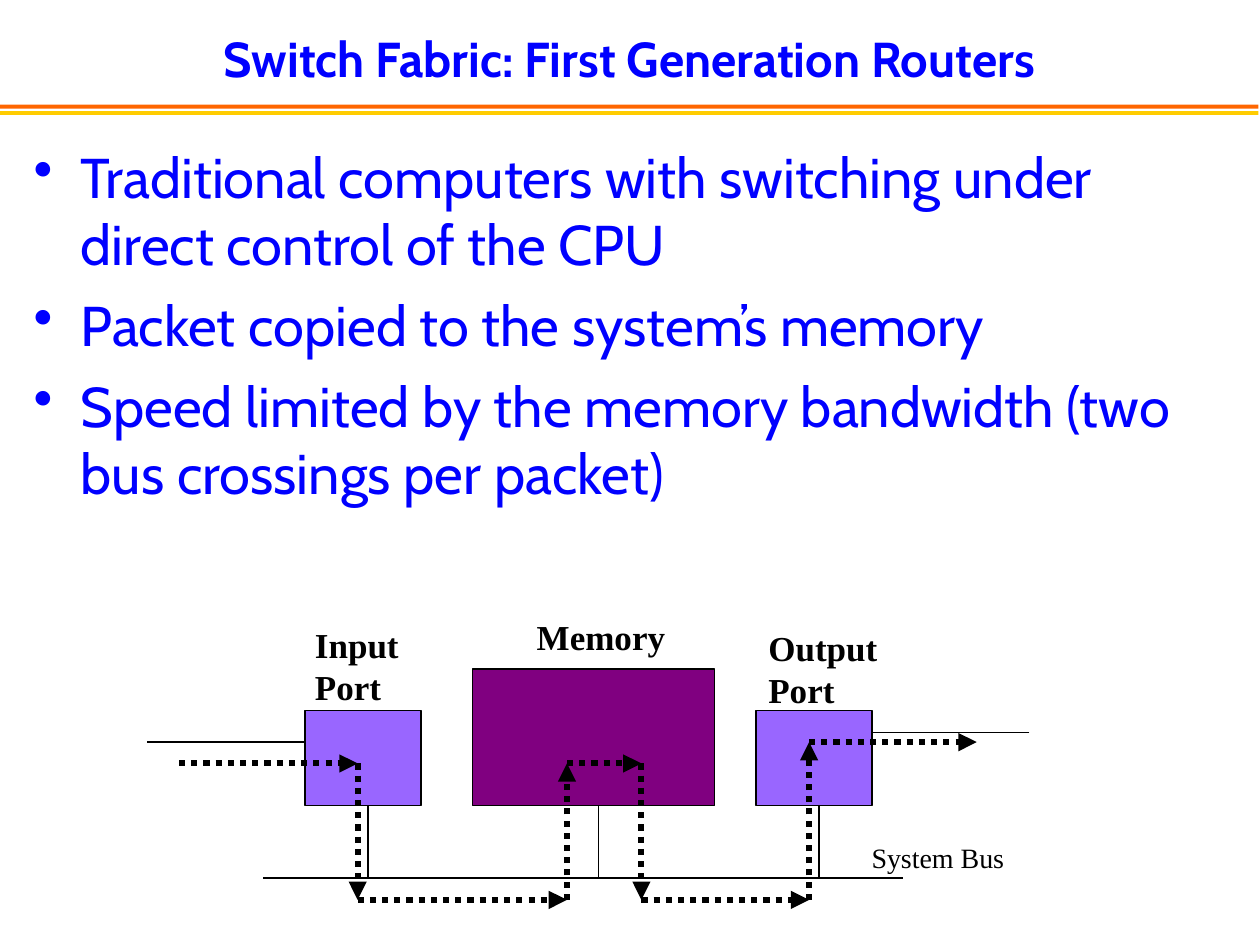
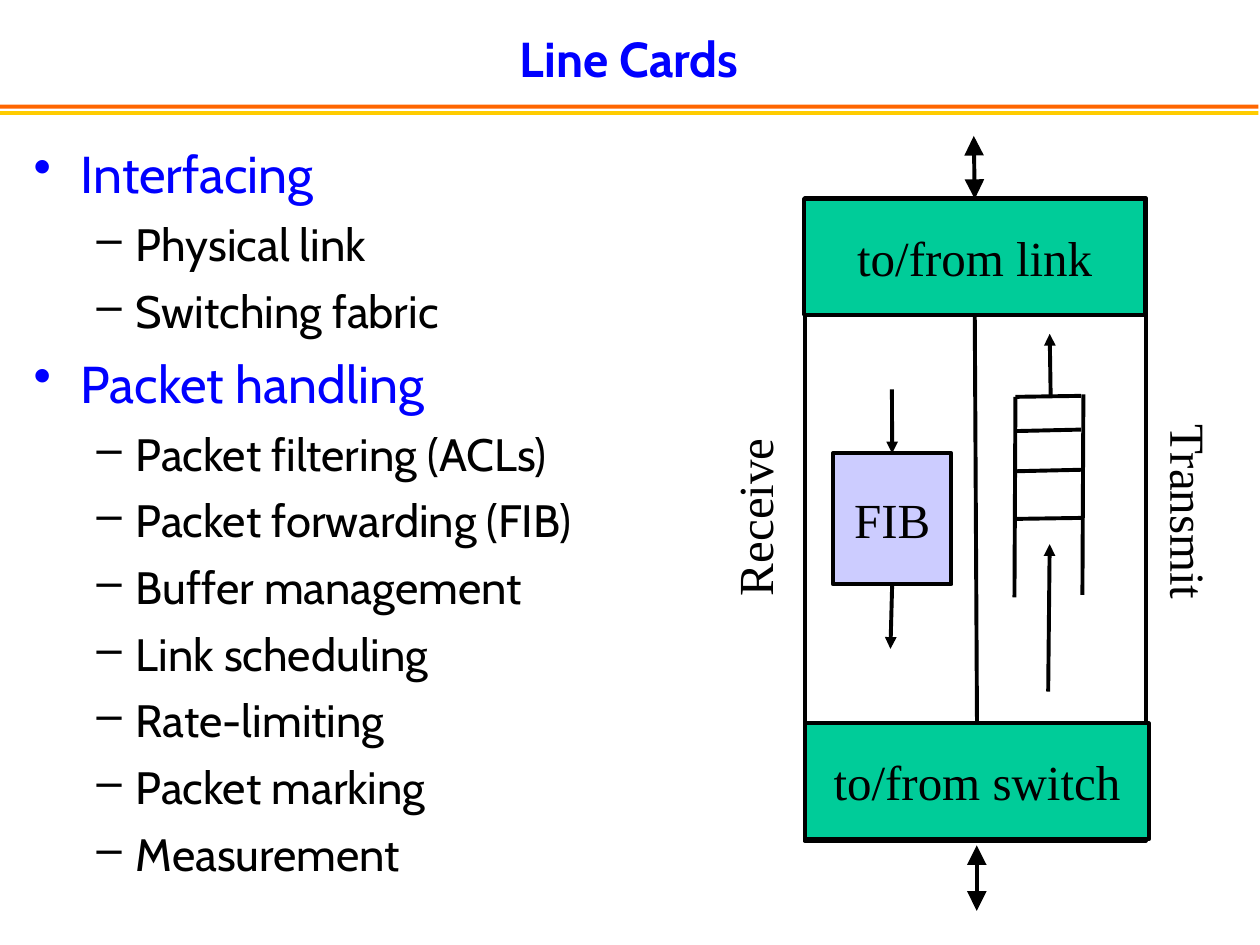
from itertools import pairwise

from lxml import etree
from pptx import Presentation
from pptx.dml.color import RGBColor
from pptx.enum.dml import MSO_LINE
from pptx.enum.shapes import MSO_CONNECTOR, MSO_SHAPE
from pptx.enum.text import MSO_ANCHOR, MSO_AUTO_SIZE, PP_ALIGN
from pptx.oxml.ns import qn
from pptx.util import Cm, Pt

RECTANGLE = MSO_SHAPE.RECTANGLE
STRAIGHT = MSO_CONNECTOR.STRAIGHT
DOTTED = MSO_LINE.ROUND_DOT
LEFT, CENTER = PP_ALIGN.LEFT, PP_ALIGN.CENTER
TOP, MIDDLE = MSO_ANCHOR.TOP, MSO_ANCHOR.MIDDLE
NO_AUTOFIT = MSO_AUTO_SIZE.NONE
TOP_SIDE, BOTTOM_SIDE = 0, 2

COLORS = {
    "blue": "0000FF",
    "black": "000000",
    "orange": "FF6600",
    "yellow": "FFCC00",
    "port": "9966FF",
    "memory": "800080",
    "interface": "00CC99",
    "lookup": "CCCCFF",
}
HEADING_FONT, DIAGRAM_FONT = "Cabin", "Times New Roman"


def write(shape, text, *, size, font=DIAGRAM_FONT, color="black", bold=False, align=LEFT,
          anchor=TOP, wrap=False, bullet=None, level=0, margin=0, hanging=0, before=0):
    frame = shape.text_frame
    frame.word_wrap = wrap
    frame.auto_size = NO_AUTOFIT
    frame.vertical_anchor = anchor
    for line in text.split("\n"):
        first = not frame.text
        paragraph = frame.paragraphs[0] if first else frame.add_paragraph()
        paragraph.alignment = align
        paragraph.level = level
        if bullet:
            properties = paragraph._p.get_or_add_pPr()
            properties.set("marL", str(Cm(margin)))
            properties.set("indent", str(-Cm(hanging)))
            bullet_color = etree.SubElement(properties, qn("a:buClr"))
            etree.SubElement(bullet_color, qn("a:srgbClr"), val=COLORS[color])
            etree.SubElement(properties, qn("a:buChar"), char=bullet)
        paragraph.space_before = Pt(0 if first else before)
        run = paragraph.add_run()
        run.text = line
        run.font.size = Pt(size)
        run.font.name = font
        run.font.bold = bold
        run.font.color.rgb = RGBColor.from_string(COLORS[color])


def draw_line(slide, start, end, *, width=2.25, dash=None, heads=(), head_size="med"):
    connector = slide.shapes.add_connector(STRAIGHT, *(Cm(v) for v in (*start, *end)))
    connector.line.color.rgb = RGBColor.from_string(COLORS["black"])
    connector.line.width = Pt(width)
    if dash:
        connector.line.dash_style = dash
    for head in heads:
        etree.SubElement(connector.get_or_add_ln(), qn(f"a:{head}"),
                         type="triangle", w=head_size, len=head_size)
    etree.SubElement(connector.element.spPr, qn("a:effectLst"))
    return connector


prs = Presentation()
prs.slide_width, prs.slide_height = Cm(25.4), Cm(19.05)
layout = prs.slide_layouts[5]
for footer in list(layout.placeholders)[1:]:
    footer.element.getparent().remove(footer.element)

TOP_BULLET = dict(bullet="•", color="blue", margin=0.95, hanging=0.95, before=8)
SUB_BULLET = dict(bullet="–", level=1, margin=2.06, hanging=0.79, before=7)

contents = [
    ("Switch Fabric: First Generation Routers", 24.77, (32, 28), [
        (0, "Traditional computers with switching under direct control of the CPU"),
        (0, "Packet copied to the system’s memory"),
        (0, "Speed limited by the memory bandwidth (two bus crossings per packet)"),
    ]),
    ("Line Cards", 13.06, (29.6, 25.9), [
        (0, "Interfacing"),
        (1, "Physical link"),
        (1, "Switching fabric"),
        (0, "Packet handling"),
        (1, "Packet filtering (ACLs)"),
        (1, "Packet forwarding (FIB)"),
        (1, "Buffer management"),
        (1, "Link scheduling"),
        (1, "Rate-limiting"),
        (1, "Packet marking"),
        (1, "Measurement"),
    ]),
]
for heading, body_width, sizes, points in contents:
    slide = prs.slides.add_slide(layout)
    title = slide.shapes.title
    title.left, title.top, title.width, title.height = Cm(0), Cm(0.43), Cm(25.37), Cm(1.47)
    write(title, heading, size=28, font=HEADING_FONT, color="blue", bold=True,
          align=CENTER, anchor=MIDDLE, wrap=True)
    body = slide.shapes.add_textbox(Cm(0.43), Cm(2.74), Cm(body_width), Cm(16.08))
    for level, point in points:
        write(body, point, size=sizes[level], font=HEADING_FONT, wrap=True,
              **(SUB_BULLET if level else TOP_BULLET))

routers, line_cards = prs.slides

for band_top, band_color in ((2.11, "orange"), (2.24, "yellow")):
    band = routers.shapes.add_shape(RECTANGLE, Cm(0), Cm(band_top), Cm(25.37), Cm(0.08))
    band.shadow.inherit = False
    band.fill.solid()
    band.fill.fore_color.rgb = RGBColor.from_string(COLORS[band_color])
    band.line.fill.background()
    layout.shapes.element.append(band.element)

blocks = {}
for slide, part, place, fill, border, text in (
    (routers, "input", (6.15, 14.33, 2.34, 1.91), "port", 0.75, ""),
    (routers, "output", (15.24, 14.33, 2.34, 1.91), "port", 0.75, ""),
    (routers, "memory", (9.53, 13.49, 4.88, 2.75), "memory", 0.75, ""),
    (line_cards, "card", (16.22, 4, 6.88, 12.95), None, 2.25, ""),
    (line_cards, "link", (16.21, 4.01, 6.88, 2.34), "interface", 2.25, "to/from link"),
    (line_cards, "switch", (16.23, 14.58, 6.93, 2.34), "interface", 2.25, "to/from switch"),
    (line_cards, "lookup", (16.79, 9.14, 2.39, 2.64), "lookup", 2.25, "FIB"),
):
    block = slide.shapes.add_shape(RECTANGLE, *(Cm(v) for v in place))
    block.shadow.inherit = False
    if fill:
        block.fill.solid()
        block.fill.fore_color.rgb = RGBColor.from_string(COLORS[fill])
    else:
        block.fill.background()
    block.line.color.rgb = RGBColor.from_string(COLORS["black"])
    block.line.width = Pt(border)
    if text:
        write(block, text, size=28, align=CENTER, anchor=MIDDLE)
    blocks[part] = block

BUS_Y = 17.7
draw_line(routers, (5.31, BUS_Y), (18.21, BUS_Y), width=0.75)
for drop_x in (7.42, 12.07, 16.51):
    draw_line(routers, (drop_x, 16.24), (drop_x, BUS_Y), width=0.75)
draw_line(routers, (6.15, 14.96), (2.97, 14.96), width=0.75)
draw_line(routers, (20.75, 14.76), (17.58, 14.76), width=0.75)

packet_route = [
    (3.61, 15.39), (7.21, 15.39), (7.21, 18.14), (11.43, 18.14), (11.43, 15.39),
    (12.93, 15.39), (12.93, 18.14), (16.31, 18.14), (16.31, 14.96), (19.69, 14.96),
]
for start, end in pairwise(packet_route):
    draw_line(routers, start, end, width=3.5, dash=DOTTED, heads=["tailEnd"])

divider = draw_line(line_cards, (19.65, 6.35), (19.7, 14.58))
divider.begin_connect(blocks["link"], BOTTOM_SIDE)
divider.end_connect(blocks["switch"], TOP_SIDE)

for start, end in (
    ((20.45, 12.04), (20.47, 8)),
    ((21.82, 11.99), (21.84, 7.95)),
    ((21.79, 7.98), (20.47, 8)),
    ((20.47, 8.69), (21.79, 8.66)),
    ((20.47, 9.5), (21.79, 9.47)),
    ((20.5, 10.46), (21.82, 10.44)),
):
    draw_line(line_cards, start, end)

for start, end in (((21.13, 13.94), (21.16, 10.97)), ((21.18, 7.98), (21.16, 6.73))):
    draw_line(line_cards, start, end, heads=["tailEnd"])
into_lookup = draw_line(line_cards, (17.98, 7.85), (17.98, 9.14), heads=["tailEnd"])
into_lookup.end_connect(blocks["lookup"], TOP_SIDE)
from_lookup = draw_line(line_cards, (17.98, 11.78), (17.95, 13.08), heads=["tailEnd"])
from_lookup.begin_connect(blocks["lookup"], BOTTOM_SIDE)

both_ways = dict(heads=["headEnd", "tailEnd"], head_size="lg")
draw_line(line_cards, (19.69, 17.04), (19.69, 18.36), **both_ways)
link_traffic = draw_line(line_cards, (19.63, 2.74), (19.65, 4.01), **both_ways)
link_traffic.end_connect(blocks["link"], TOP_SIDE)

for slide, text, place, rotation, text_format in (
    (routers, "Input\nPort", (6.1, 12.45, 2.18, 1.96), 0, dict(size=20, bold=True)),
    (routers, "Output\nPort", (15.24, 12.5, 2.69, 1.96), 0, dict(size=20, bold=True)),
    (routers, "Memory", (10.57, 12.29, 3.1, 1.12), 0, dict(size=20, bold=True)),
    (routers, "System Bus", (17.32, 16.81, 3.18, 0.94), 0, dict(size=16)),
    (line_cards, "Receive", (13.36, 9.7, 3.68, 1.45), 270, dict(size=28, align=CENTER)),
    (line_cards, "Transmit", (21.95, 9.6, 4.06, 1.45), 90, dict(size=28, align=CENTER)),
):
    label = slide.shapes.add_textbox(*(Cm(v) for v in place))
    label.rotation = rotation
    write(label, text, **text_format)

prs.save("out.pptx")
